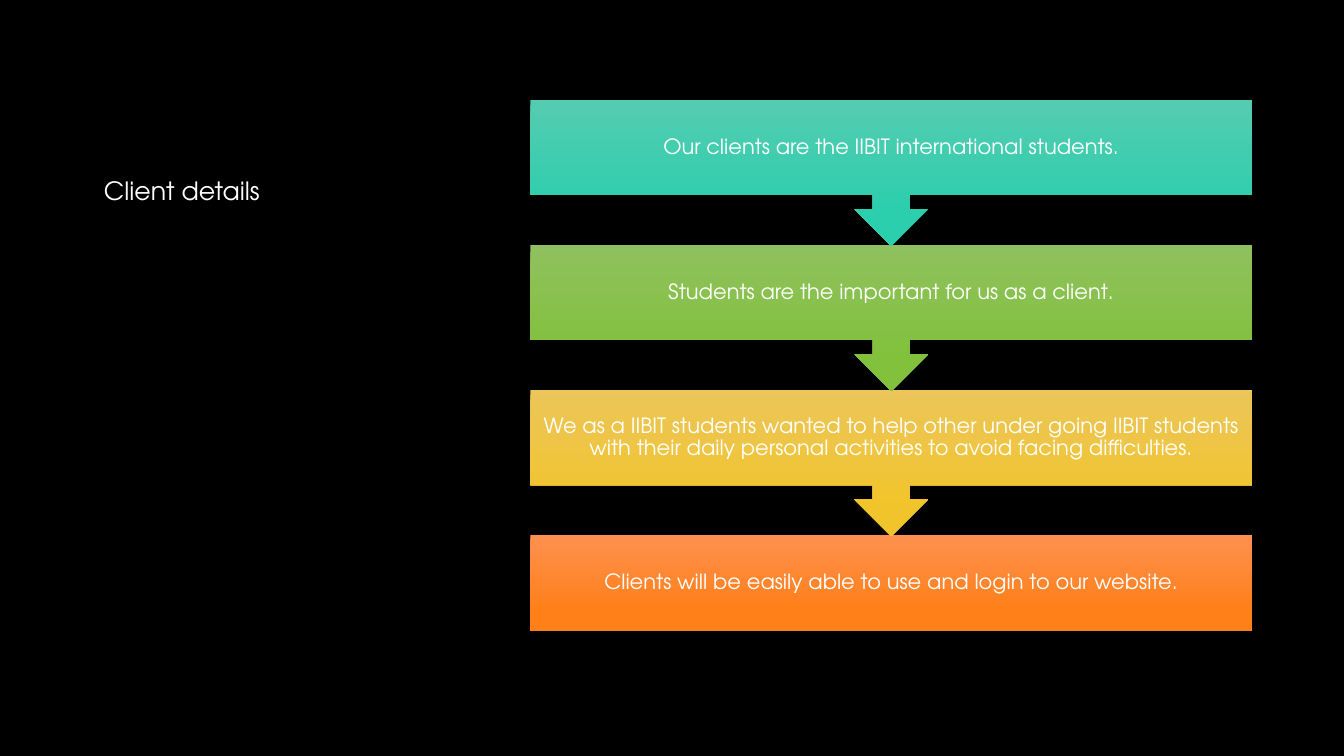
import pptx
import pptx.util
from pptx.dml.color import RGBColor
from pptx.enum.shapes import MSO_SHAPE
from pptx.enum.text import MSO_ANCHOR, MSO_AUTO_SIZE, PP_ALIGN
from pptx.util import Inches

BLACK = RGBColor(0x00, 0x00, 0x00)
WHITE = RGBColor(0xFF, 0xFF, 0xFF)
TEAL = (RGBColor(0x55, 0xCC, 0xB1), RGBColor(0x2B, 0xCE, 0xAD))
GREEN = (RGBColor(0x8F, 0xC1, 0x5E), RGBColor(0x81, 0xC1, 0x3C))
YELLOW = (RGBColor(0xEB, 0xC6, 0x59), RGBColor(0xF2, 0xC4, 0x2C))
ORANGE = (RGBColor(0xFE, 0x90, 0x4F), RGBColor(0xFF, 0x80, 0x19))
FONT = "TeX Gyre Adventor"

STEPS = [
    ("Our clients are the IIBIT international students.", TEAL),
    ("Students are the important for us as a client.", GREEN),
    ("We as a IIBIT students wanted to help other under going IIBIT students "
     "with their daily personal activities to avoid facing difficulties.", YELLOW),
    ("Clients will be easily able to use and login to our website.", ORANGE),
]
STEP_LEFT, STEP_TOP, STEP_WIDTH = 5.26, 0.99, 7.16
STEP_PITCH, CALLOUT_HEIGHT, BOX_HEIGHT = 1.44, 1.45, 0.95


def write_text(frame, text, size, align, anchor, spacing=1.0, margins=(0.1, 0.05), wrap=True):
    """Fill a text frame; margins are the horizontal and vertical insets in inches."""
    frame.word_wrap = wrap
    frame.vertical_anchor = anchor
    frame.margin_left = frame.margin_right = Inches(margins[0])
    frame.margin_top = frame.margin_bottom = Inches(margins[1])
    para = frame.paragraphs[0]
    para.alignment = align
    para.line_spacing = spacing
    para.space_before = pptx.util.Pt(0)
    span = para.add_run()
    span.text = text
    span.font.name = FONT
    span.font.size = pptx.util.Pt(size)
    span.font.color.rgb = WHITE


deck = pptx.Presentation()
deck.slide_width = Inches(13.33)
deck.slide_height = Inches(7.5)
page = deck.slides.add_slide(deck.slide_layouts[5])
page.background.fill.solid()
page.background.fill.fore_color.rgb = BLACK

title = page.shapes.title
title.left, title.top = Inches(0.93), Inches(1.69)
title.width, title.height = Inches(1.78), Inches(0.4)
write_text(title.text_frame, "Client details", 18, PP_ALIGN.LEFT, MSO_ANCHOR.TOP, wrap=False)
title.text_frame.auto_size = MSO_AUTO_SIZE.SHAPE_TO_FIT_TEXT

# Draw from the bottom up so that each arrow tip lies over the next box
for index, (text, colours) in reversed(list(enumerate(STEPS))):
    is_last = index == len(STEPS) - 1
    box = page.shapes.add_shape(
        MSO_SHAPE.RECTANGLE if is_last else MSO_SHAPE.DOWN_ARROW_CALLOUT,
        Inches(STEP_LEFT), Inches(STEP_TOP + index * STEP_PITCH),
        Inches(STEP_WIDTH), Inches(BOX_HEIGHT if is_last else CALLOUT_HEIGHT))
    box.shadow.inherit = False
    box.line.fill.background()
    box.fill.gradient()
    box.fill.gradient_angle = 270
    for stop, colour, position in zip(box.fill.gradient_stops, colours, (0, 0.78)):
        stop.color.rgb = colour
        stop.position = position
    write_text(box.text_frame, text, 15, PP_ALIGN.CENTER, MSO_ANCHOR.MIDDLE,
               spacing=0.9, margins=(0.12, 0.12))

deck.save("out.pptx")
